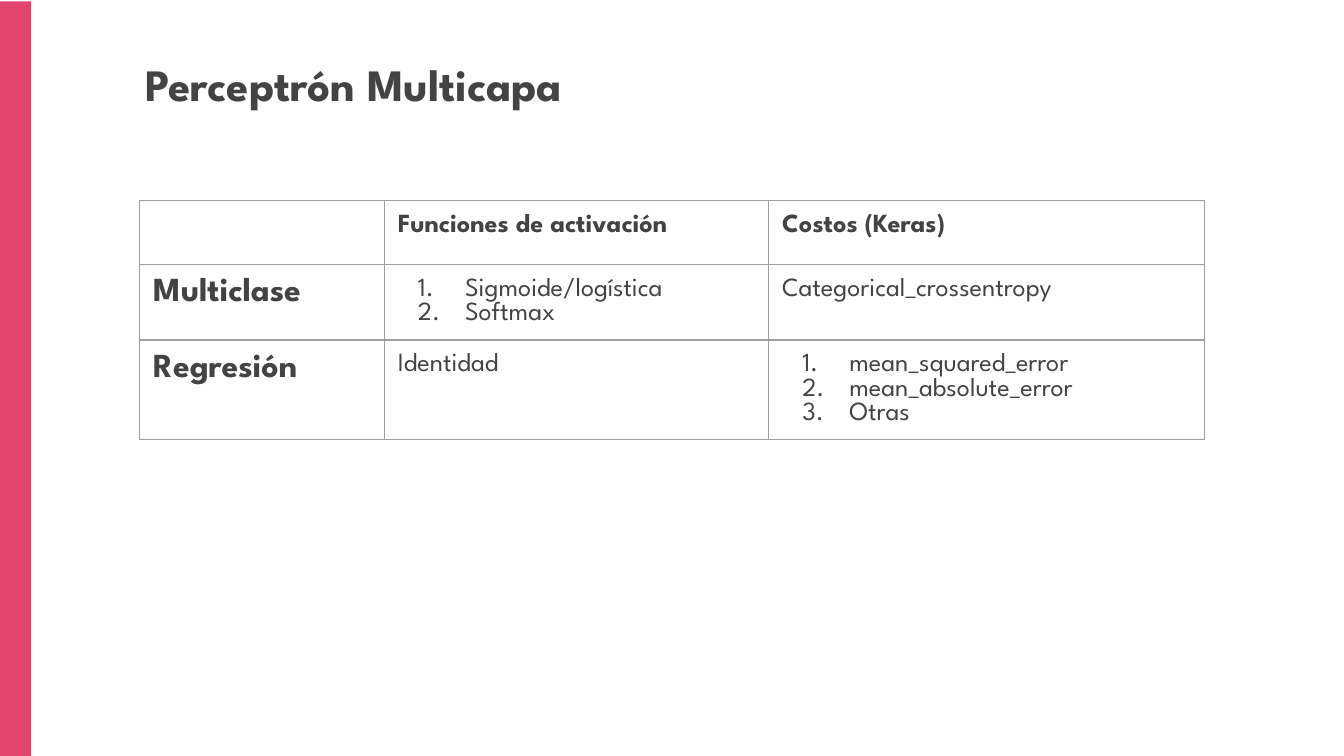
from pptx import Presentation
from pptx.dml.color import RGBColor
from pptx.enum.shapes import MSO_SHAPE
from pptx.enum.text import MSO_ANCHOR, MSO_AUTO_SIZE, PP_ALIGN
from pptx.oxml.ns import qn
from pptx.util import Inches, Pt
from lxml.etree import SubElement

PINK = RGBColor(0xE1, 0x44, 0x6D)
GRAY = RGBColor(0x43, 0x43, 0x43)
BORDER = RGBColor(0x9E, 0x9E, 0x9E)
FONT = "League Spartan"
INSET = Inches(0.1)

COLUMN_WIDTHS = [1.82, 2.86, 3.24]
ROW_HEIGHTS = [0.48, 0.56, 0.74]
ROWS = [
    ["", "Funciones de activación", "Costos (Keras)"],
    ["Multiclase", ["Sigmoide/logística", "Softmax"], "Categorical_crossentropy"],
    ["Regresión", "Identidad", ["mean_squared_error", "mean_absolute_error", "Otras"]],
]


def add_span(para, text, size, bold):
    span = para.add_run()
    span.text = text
    span.font.name = FONT
    span.font.size = Pt(size)
    span.font.bold = bold
    span.font.color.rgb = GRAY


def set_insets(target):
    target.margin_left = target.margin_right = INSET
    target.margin_top = target.margin_bottom = INSET


def add_side_bar(page, deck):
    bar = page.shapes.add_shape(
        MSO_SHAPE.RECTANGLE, 0, Inches(0.01), Inches(0.23), deck.slide_height)
    bar.shadow.inherit = False
    bar.fill.solid()
    bar.fill.fore_color.rgb = PINK
    bar.line.fill.background()


def fill_title(page, text):
    title = page.shapes.title
    title.left, title.top = Inches(0.98), Inches(0.33)
    title.width, title.height = Inches(8.62), Inches(0.64)
    frame = title.text_frame
    frame.word_wrap = True
    frame.auto_size = MSO_AUTO_SIZE.NONE
    frame.vertical_anchor = MSO_ANCHOR.MIDDLE
    set_insets(frame)
    para = frame.paragraphs[0]
    para.alignment = PP_ALIGN.LEFT
    para.line_spacing = 0.9
    add_span(para, text, 24, True)


def number_paragraph(para):
    properties = para._p.get_or_add_pPr()
    properties.set("marL", str(Inches(0.5)))
    properties.set("indent", str(Inches(-0.35)))
    color = SubElement(properties, qn("a:buClr"))
    SubElement(color, qn("a:srgbClr"), val=str(GRAY))
    SubElement(properties, qn("a:buFont"), typeface=FONT)
    SubElement(properties, qn("a:buAutoNum"), type="arabicPeriod")


def add_borders(cell):
    properties = cell._tc.get_or_add_tcPr()
    for side in ("lnL", "lnR", "lnT", "lnB"):
        line = SubElement(properties, qn(f"a:{side}"), w=str(Pt(0.75)))
        fill = SubElement(line, qn("a:solidFill"))
        SubElement(fill, qn("a:srgbClr"), val=str(BORDER))


def fill_cell(cell, content, size, bold):
    """Write a text, or a numbered list when content is a list."""
    set_insets(cell)
    add_borders(cell)
    cell.fill.background()
    frame = cell.text_frame
    numbered = isinstance(content, list)
    for index, text in enumerate(content if numbered else [content]):
        para = frame.paragraphs[0] if index == 0 else frame.add_paragraph()
        if numbered:
            number_paragraph(para)
        if text:
            add_span(para, text, size, bold)
        else:
            SubElement(para._p, qn("a:endParaRPr"), sz=str(size * 100))


def add_function_table(page):
    table = page.shapes.add_table(
        len(ROWS), len(COLUMN_WIDTHS), Inches(1.04), Inches(1.49),
        Inches(sum(COLUMN_WIDTHS)), Inches(sum(ROW_HEIGHTS))).table
    table.first_row = table.horz_banding = False
    for column, width in zip(table.columns, COLUMN_WIDTHS):
        column.width = Inches(width)
    for row, height in zip(table.rows, ROW_HEIGHTS):
        row.height = Inches(height)
    for r, contents in enumerate(ROWS):
        for c, content in enumerate(contents):
            size = 18 if c == 0 and r > 0 else 14
            fill_cell(table.cell(r, c), content, size, r == 0 or c == 0)


def main():
    deck = Presentation()
    deck.slide_width = Inches(10)
    deck.slide_height = deck.slide_width * 9 // 16
    page = deck.slides.add_slide(deck.slide_layouts[5])
    add_side_bar(page, deck)
    add_function_table(page)
    fill_title(page, "Perceptrón Multicapa")
    deck.save("out.pptx")


if __name__ == "__main__":
    main()
